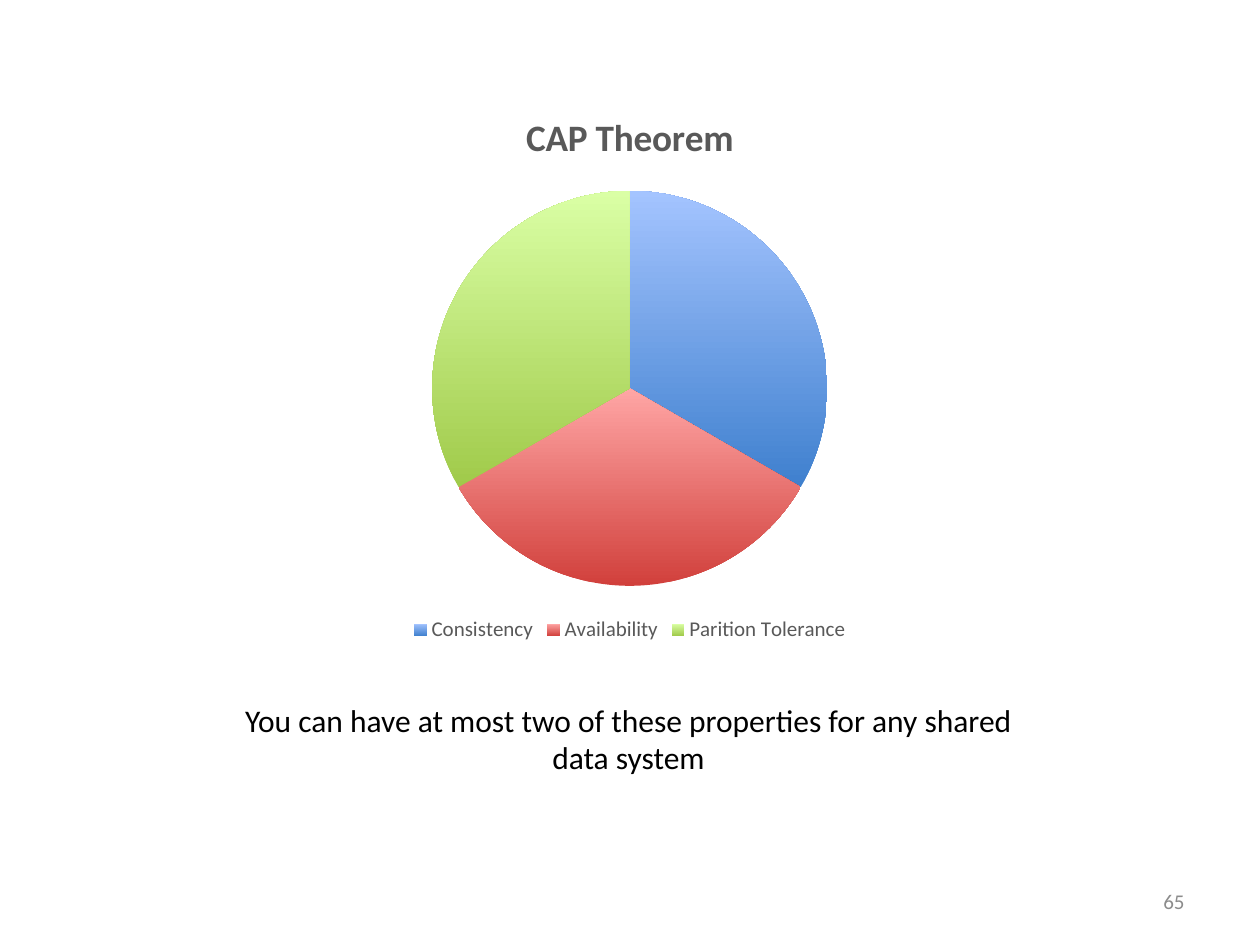
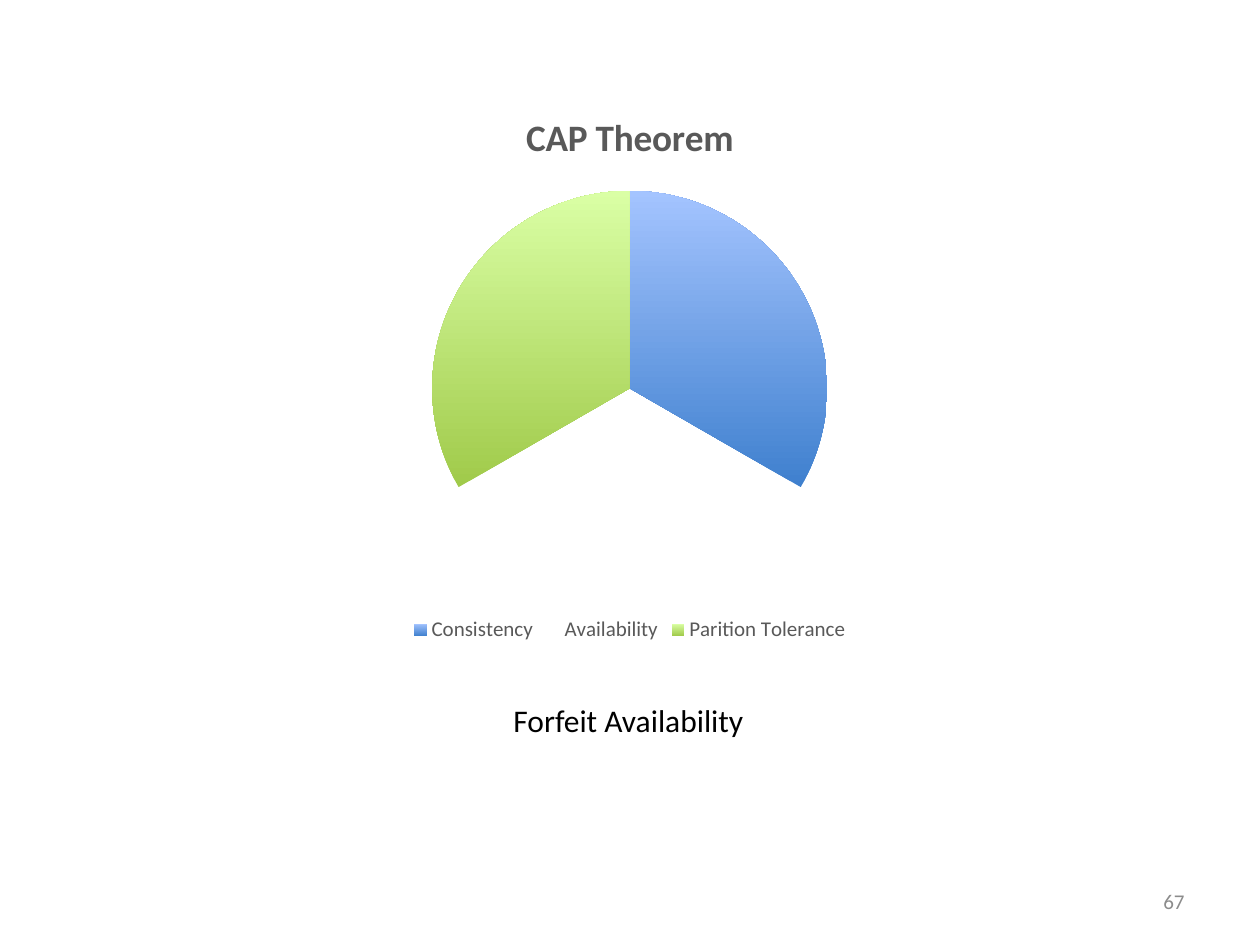
from pptx import Presentation
from pptx import util as u
from pptx.chart.data import CategoryChartData
from pptx.dml.color import RGBColor
from pptx.enum import chart as ch, text

PARTS = {
    "Consistency": ("3F80CE", "A4C4FF"),
    "Availability": ("D1403C", "FFA6A5"),
    "Parition Tolerance": ("A0CA4A", "DAFFA5"),
}
SLIDES = [
    (65, "You can have at most two of these properties for any shared data system", 1.8, None),
    (67, "Forfeit Availability", 1.02, "Availability"),
]


def paint(code):
    return RGBColor.from_string(code)


class Deck:
    face = "Calibri"
    black = "000000"
    gray = "595959"
    pale = "8C8C8C"

    def __init__(self):
        self.prs = Presentation()
        self.prs.slide_width = u.Cm(25.4)
        self.prs.slide_height = u.Cm(19.05)
        self.page = None

    def start(self):
        self.page = self.prs.slides.add_slide(self.prs.slide_layouts[6])

    def style(self, font, size, color, bold=False):
        font.name = self.face
        font.size = u.Pt(size)
        font.bold = bold
        font.color.rgb = paint(color)

    def label(self, words, spot, size, color, align, anchor):
        frame = self.page.shapes.add_textbox(*map(u.Cm, spot)).text_frame
        frame.word_wrap = True
        frame.vertical_anchor = anchor
        para = frame.paragraphs[0]
        para.alignment = align
        run = para.add_run()
        run.text = words
        self.style(run.font, size, color)

    def number(self, num):
        self.label(str(num), (18.2, 17.66, 5.93, 1.01), 12, self.pale,
                   text.PP_ALIGN.RIGHT, text.MSO_ANCHOR.MIDDLE)

    def caption(self, words, height):
        self.label(words, (4.62, 14, 16.1, height), 18, self.black,
                   text.PP_ALIGN.CENTER, text.MSO_ANCHOR.TOP)

    def pie(self, title, parts, lost):
        data = CategoryChartData()
        data.categories = list(parts)
        data.add_series(title, [33] * len(parts))
        spot = map(u.Cm, (4.23, 1.76, 16.93, 11.29))
        chart = self.page.shapes.add_chart(ch.XL_CHART_TYPE.PIE, *spot, data).chart
        self.style(chart.font, 10, self.black)

        chart.has_title = True
        run = chart.chart_title.text_frame.paragraphs[0].add_run()
        run.text = title
        self.style(run.font, 21.3, self.gray, True)
        chart.chart_title.include_in_layout = False

        chart.has_legend = True
        chart.legend.position = ch.XL_LEGEND_POSITION.BOTTOM
        chart.legend.include_in_layout = False
        self.style(chart.legend.font, 12, self.gray)

        plot = chart.plots[0]
        plot.vary_by_categories = True
        for i, (name, shades) in enumerate(parts.items()):
            form = plot.series[0].points[i].format
            form.line.fill.background()
            if name == lost:
                form.fill.background()
                continue
            form.fill.gradient()
            form.fill.gradient_angle = 90
            for stop, shade in zip(form.fill.gradient_stops, shades):
                stop.color.rgb = paint(shade)


def main():
    deck = Deck()
    for num, words, height, lost in SLIDES:
        deck.start()
        deck.number(num)
        deck.pie("CAP Theorem", PARTS, lost)
        deck.caption(words, height)
    deck.prs.save("out.pptx")


if __name__ == "__main__":
    main()
